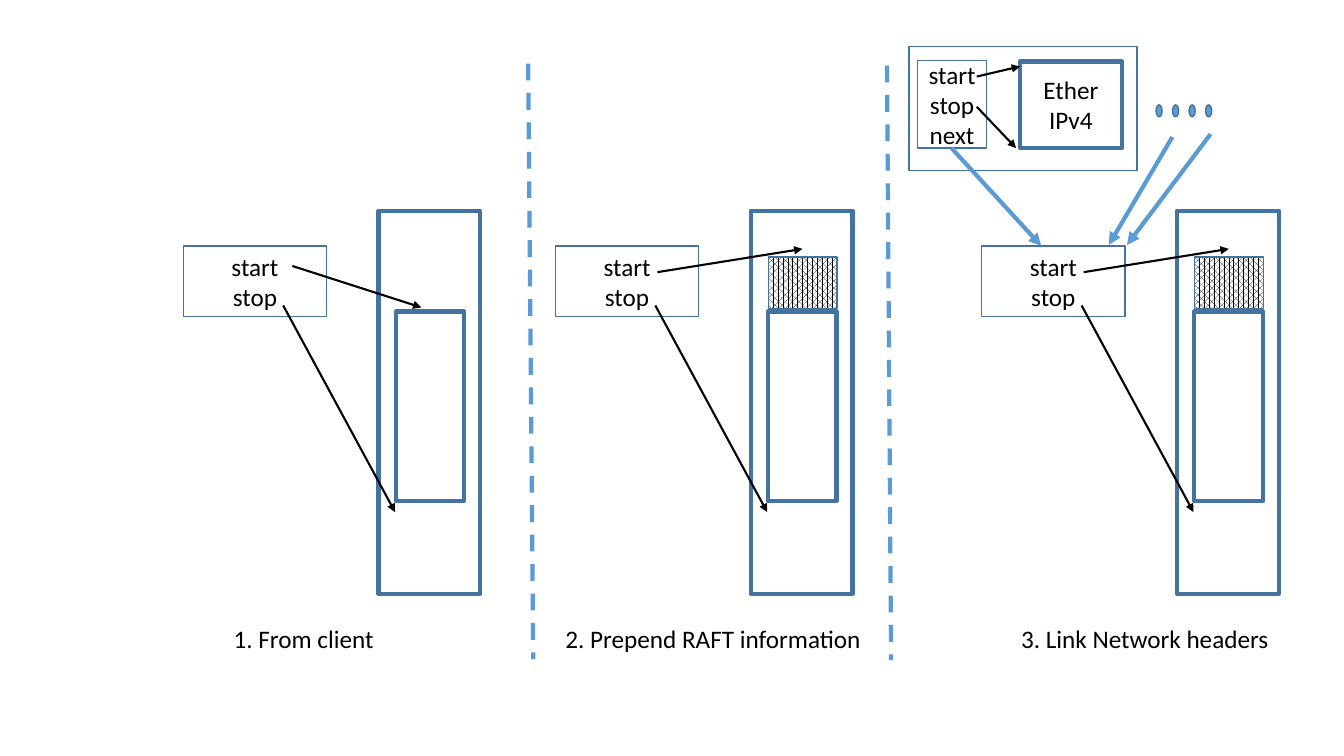
from lxml.etree import SubElement
from pptx import Presentation
from pptx.dml.color import RGBColor
from pptx.enum.dml import MSO_LINE, MSO_PATTERN
from pptx.enum.shapes import MSO_CONNECTOR, MSO_SHAPE
from pptx.enum.text import MSO_ANCHOR, MSO_AUTO_SIZE, PP_ALIGN
from pptx.oxml.ns import qn
from pptx.util import Pt

BLACK, WHITE, BLUE, NAVY = "000000", "FFFFFF", "5B9BD5", "43739E"
THIN, MEDIUM, THICK = 1, 1.5, 3


def color(value):
    """Turn a hex string into a colour."""
    return RGBColor.from_string(value)


def assign(target, values):
    """Set attributes from a dict of format values."""
    for name, value in values.items():
        setattr(target, name, value)


class Sketch:
    """Holds the style and the current slide, and draws each kind of element."""

    font = {"name": "Calibri", "size": Pt(18)}
    frame = {"word_wrap": True, "vertical_anchor": MSO_ANCHOR.MIDDLE}
    label = {"word_wrap": False, "auto_size": MSO_AUTO_SIZE.SHAPE_TO_FIT_TEXT}

    def __init__(self, page):
        """Keep the slide to draw on."""
        self.page = page

    def add_lines(self, text_frame, lines, align):
        """Add one paragraph for each line."""
        for index, line in enumerate(lines):
            para = text_frame.add_paragraph() if index else text_frame.paragraphs[0]
            para.alignment = align
            span = para.add_run()
            span.text = line
            assign(span.font, self.font)
            span.font.color.rgb = color(BLACK)

    def shape(self, left, top, width, height, weight=THIN, lines=(),
              fill=None, kind=MSO_SHAPE.RECTANGLE):
        """Draw an outlined shape with optional fill and centred text."""
        box = self.page.shapes.add_shape(kind, Pt(left), Pt(top), Pt(width), Pt(height))
        box.shadow.inherit = False
        box.fill.background()
        if fill:
            box.fill.solid()
            box.fill.fore_color.rgb = color(fill)
        box.line.color.rgb = color(NAVY)
        box.line.width = Pt(weight)
        assign(box.text_frame, self.frame)
        self.add_lines(box.text_frame, lines, PP_ALIGN.CENTER)
        return box

    def hatched(self, *place):
        """Draw a rectangle with a dense dotted fill."""
        fill = self.shape(*place).fill
        fill.patterned()
        fill.pattern = MSO_PATTERN.PERCENT_70
        fill.fore_color.rgb = color(BLACK)
        fill.back_color.rgb = color(WHITE)

    def caption(self, left, top, width, height, text):
        """Add an unwrapped line of text."""
        box = self.page.shapes.add_textbox(Pt(left), Pt(top), Pt(width), Pt(height))
        assign(box.text_frame, self.label)
        self.add_lines(box.text_frame, [text], PP_ALIGN.LEFT)

    def connector(self, start, end, ink, weight):
        """Draw a straight line without a shadow."""
        points = [Pt(value) for value in (*start, *end)]
        line = self.page.shapes.add_connector(MSO_CONNECTOR.STRAIGHT, *points)
        line.line.color.rgb = color(ink)
        line.line.width = Pt(weight)
        SubElement(line._element.spPr, qn("a:effectLst"))
        return line

    def divider(self, start, end):
        """Draw a dashed line between panels."""
        self.connector(start, end, BLUE, THICK).line.dash_style = MSO_LINE.DASH

    def arrow(self, start, end, ink=BLACK, weight=MEDIUM):
        """Draw a line with a triangle at its end."""
        line = self.connector(start, end, ink, weight)
        outline = line._element.spPr.find(qn("a:ln"))
        SubElement(outline, qn("a:tailEnd"), type="triangle")

    def panel(self, left, prepended):
        """Draw a start and stop record that points into a buffer."""
        self.shape(left, 175.7, 102.2, 50.4, lines=["start", "stop"])
        self.shape(left + 139.4, 150.5, 72.8, 273.6, THICK)
        if prepended:
            self.arrow((left + 72.8, 194.4), (left + 176.4, 177.8))
            self.hatched(left + 152, 183.6, 49, 36.7)
        else:
            self.arrow((left + 77.8, 190), (left + 170, 219.6))
        self.arrow((left + 71.3, 218.2), (left + 151.2, 365.8))
        self.shape(left + 151.7, 222.5, 49, 135.4, THICK)


deck = Presentation()
assign(deck, {"slide_width": Pt(960), "slide_height": Pt(540)})
sketch = Sketch(deck.slides.add_slide(deck.slide_layouts[6]))

PANELS = [
    (131, False, 159.8, 115.9, "1. From client"),
    (396.8, True, 396.8, 227.5, "2. Prepend RAFT information"),
    (701.3, True, 722.2, 193.7, "3. Link Network headers"),
]
for left, prepended, caption_left, caption_width, caption in PANELS:
    sketch.panel(left, prepended)
    sketch.caption(caption_left, 441.4, caption_width, 28.8, caption)

sketch.divider((377.3, 45.4), (380.9, 470.9))
sketch.divider((633.6, 46.8), (636.5, 471.6))

sketch.shape(655.2, 43.2, 49.7, 62.6, lines=["start", "stop", "next"])
sketch.shape(728.6, 43.9, 72.7, 61.9, THICK, ["Ether", "IPv4"])
sketch.arrow((697.7, 54.7), (728.6, 47.5))
sketch.arrow((697.7, 76.3), (725.8, 105.8))
sketch.shape(649.4, 33.1, 162.7, 88.6)

for index in range(4):
    sketch.shape(825.8 + 11.8 * index, 74.9, 4.3, 8.6, fill=BLUE, kind=MSO_SHAPE.OVAL)

LINKS = [
    ((679.7, 105.8), (743.8, 175.7)),
    ((837.4, 97.9), (792, 175)),
    ((864.7, 95.8), (805, 175)),
]
for start, end in LINKS:
    sketch.arrow(start, end, BLUE, THICK)

deck.save("out.pptx")
